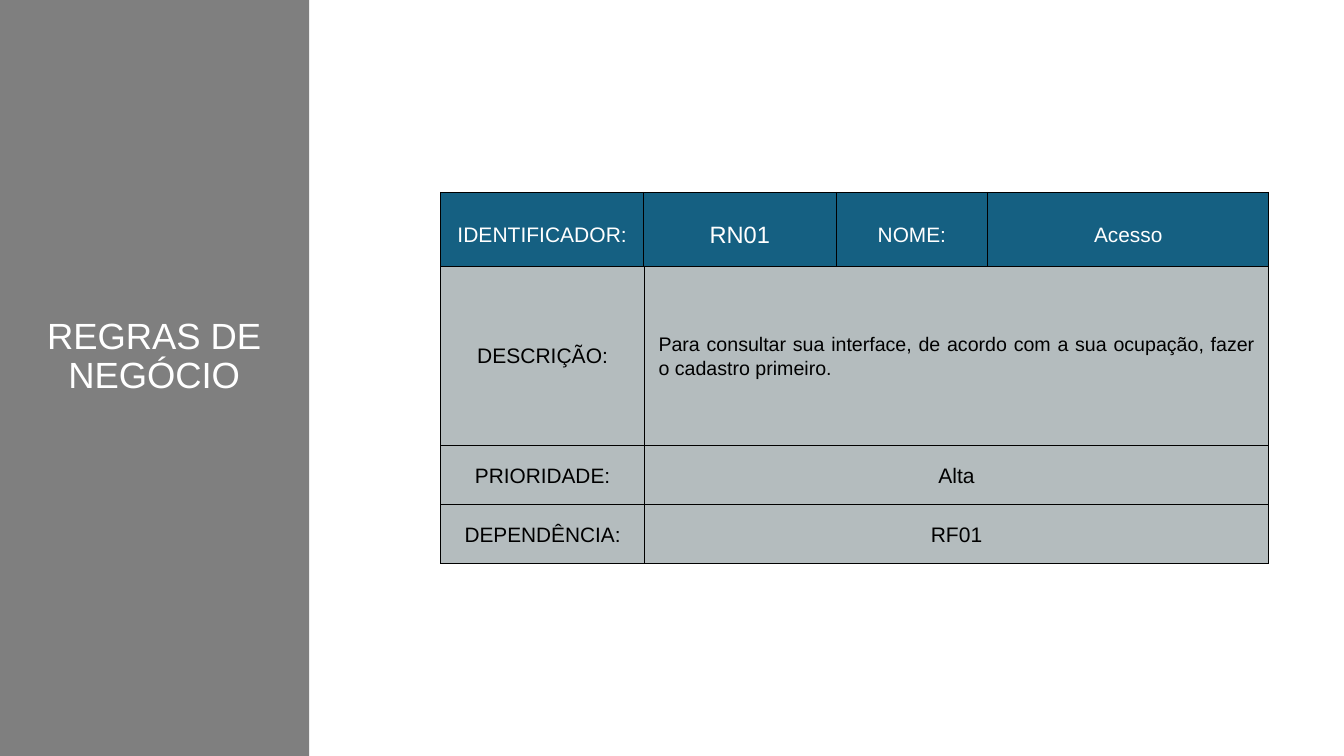
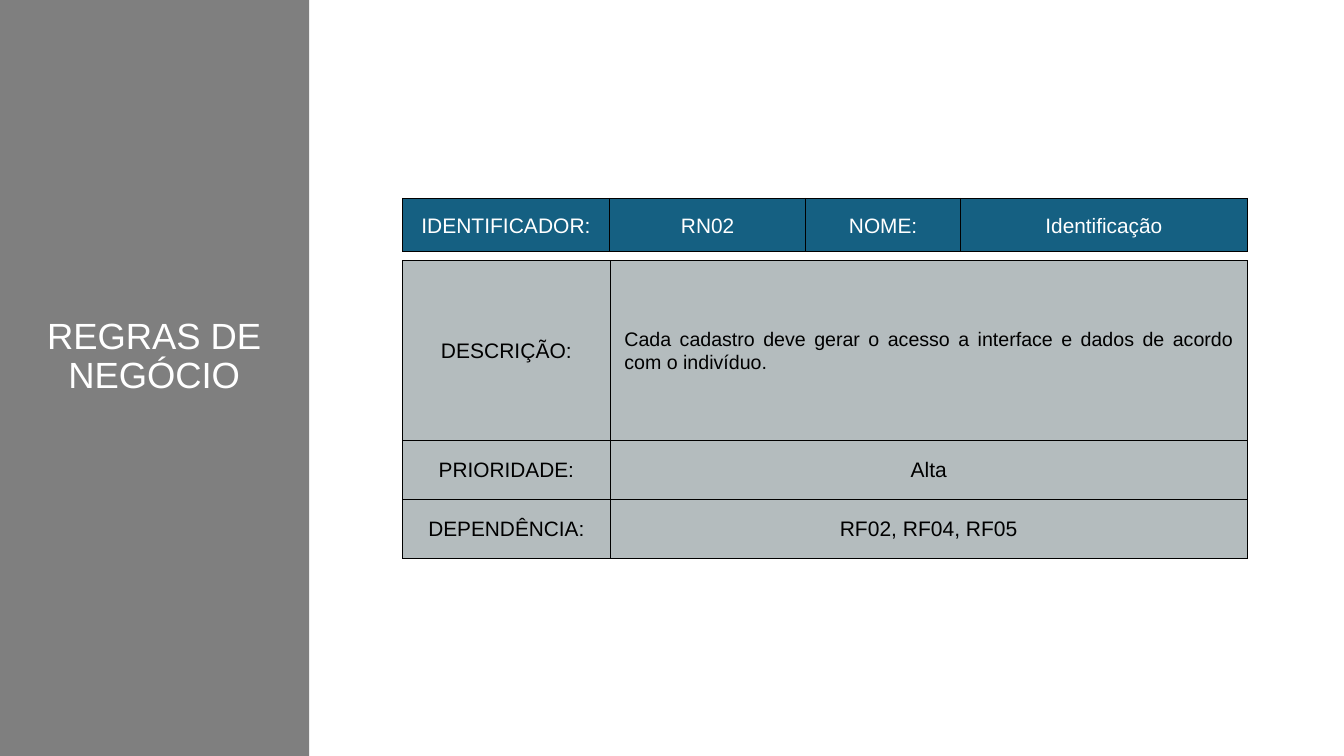
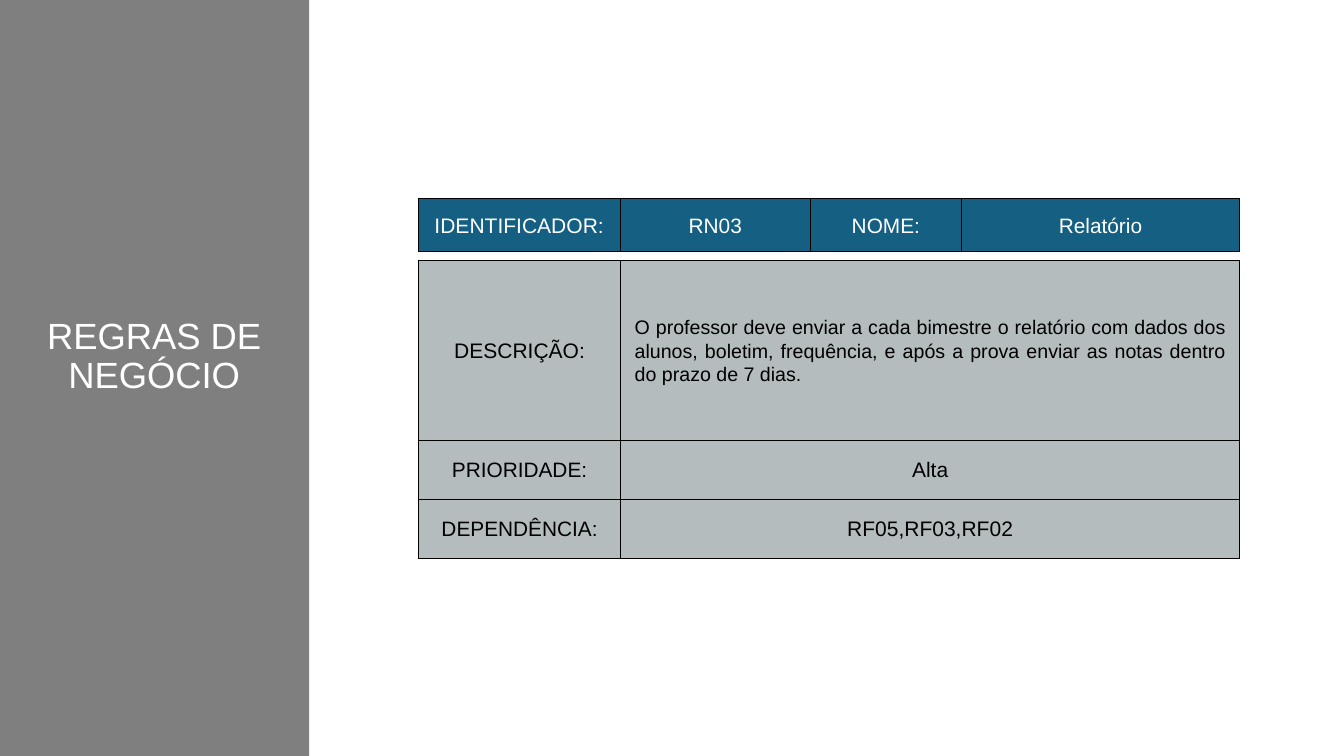
from dataclasses import dataclass

from lxml import etree
from pptx import Presentation
from pptx.dml.color import RGBColor
from pptx.enum.shapes import MSO_SHAPE
from pptx.enum.text import MSO_ANCHOR, MSO_AUTO_SIZE, PP_ALIGN
from pptx.oxml.ns import qn
from pptx.util import Inches, Pt

RECT = MSO_SHAPE.RECTANGLE
TOP, MIDDLE = MSO_ANCHOR.TOP, MSO_ANCHOR.MIDDLE
FIXED = MSO_AUTO_SIZE.NONE
CENTER, JUSTIFY = PP_ALIGN.CENTER, PP_ALIGN.JUSTIFY

COLORS = {
    "band": "7F7F7F",
    "head": "156082",
    "body": "B4BCBE",
    "light": "FFFFFF",
    "dark": "000000",
}
FONT = "Arial"
TITLE = "REGRAS DE NEGÓCIO"
WIDE, HIGH = 20, 11.25
BAND_WIDTH = 4.6
TITLE_SIZE, LABEL, VALUE, PROSE = 39, 22.5, 22.3, 21
INSET = Inches(0.21)
HEAD_COLS = (3.02, 2.86, 2.26, 4.18)
BODY_COLS = (3.03, 9.29)
BODY_ROWS = (2.67, 0.88, 0.88)


@dataclass(frozen=True)
class Cell:
    text: str
    size: float = VALUE
    align: PP_ALIGN = CENTER


@dataclass(frozen=True)
class Rule:
    code: str
    name: str
    detail: str
    needs: str
    left: float
    width: float
    top: float = 2.95
    height: float = 0.79
    split: float = 3.88
    code_size: float = VALUE


RULES = (
    Rule("RN01", "Acesso",
         "Para consultar sua interface, de acordo com a sua ocupação, "
         "fazer o cadastro primeiro.",
         "RF01", 6.56, 12.32, top=2.86, height=1.26, split=3.96, code_size=25.3),
    Rule("RN02", "Identificação",
         "Cada cadastro deve gerar o acesso a interface e dados de acordo "
         "com o indivíduo.",
         "RF02, RF04, RF05", 5.99, 12.57),
    Rule("RN03", "Relatório",
         "O professor deve enviar a cada bimestre o relatório com dados dos "
         "alunos, boletim, frequência, e após a prova enviar as notas dentro "
         "do prazo de 7 dias.",
         "RF05,RF03,RF02", 6.23, 12.22),
)


def color(key: str) -> RGBColor:
    return RGBColor.from_string(COLORS[key])


def style(par, size: float, ink: str, align: PP_ALIGN, lead: float = 1.2) -> None:
    par.alignment = align
    par.line_spacing = Pt(size * lead)
    par.font.name = FONT
    par.font.size = Pt(size)
    par.font.bold = False
    par.font.color.rgb = color(ink)


def frame(cell) -> None:
    props = cell._tc.get_or_add_tcPr()
    for side in ("lnL", "lnR", "lnT", "lnB"):
        line = etree.SubElement(props, qn(f"a:{side}"), w=str(Pt(1)))
        fill = etree.SubElement(line, qn("a:solidFill"))
        etree.SubElement(fill, qn("a:srgbClr"), val=COLORS["dark"])


def add_grid(slide, left: float, top: float, width: float,
             cols: tuple[float, ...], rows: tuple[float, ...],
             cells: list[list[Cell]], fill: str, ink: str) -> None:
    table = slide.shapes.add_table(
        len(rows), len(cols), Inches(left), Inches(top),
        Inches(width), Inches(sum(rows))).table
    table.first_row = False
    table.horz_banding = False
    for col, share in zip(table.columns, cols):
        col.width = Inches(width * share / sum(cols))
    for row, height, items in zip(table.rows, rows, cells):
        row.height = Inches(height)
        for cell, item in zip(row.cells, items):
            frame(cell)
            cell.fill.solid()
            cell.fill.fore_color.rgb = color(fill)
            cell.vertical_anchor = MIDDLE
            cell.margin_left = cell.margin_right = INSET
            cell.margin_top = cell.margin_bottom = INSET
            cell.text = item.text
            style(cell.text_frame.paragraphs[0], item.size, ink, item.align)


def add_title(slide) -> None:
    band = slide.shapes.add_shape(RECT, 0, 0, Inches(BAND_WIDTH), Inches(HIGH))
    band.shadow.inherit = False
    band.fill.solid()
    band.fill.fore_color.rgb = color("band")
    band.line.fill.background()

    title = slide.shapes.title
    title.left, title.top = Inches(0.23), Inches(4.72)
    title.width, title.height = Inches(4.13), Inches(1.21)
    text = title.text_frame
    text.text = TITLE
    text.word_wrap = True
    text.auto_size = FIXED
    text.vertical_anchor = TOP
    text.margin_left = text.margin_right = 0
    text.margin_top = text.margin_bottom = 0
    style(text.paragraphs[0], TITLE_SIZE, "light", CENTER, 1.08)
    band.element.addnext(title.element)


def add_rule(deck, rule: Rule) -> None:
    slide = deck.slides.add_slide(deck.slide_layouts[5])
    head = [[Cell("IDENTIFICADOR:", LABEL), Cell(rule.code, rule.code_size),
             Cell("NOME:"), Cell(rule.name)]]
    body = [
        [Cell("DESCRIÇÃO:", LABEL), Cell(rule.detail, PROSE, JUSTIFY)],
        [Cell("PRIORIDADE:"), Cell("Alta", LABEL)],
        [Cell("DEPENDÊNCIA:"), Cell(rule.needs, LABEL)],
    ]
    add_grid(slide, rule.left, rule.top, rule.width,
             HEAD_COLS, (rule.height,), head, "head", "light")
    add_grid(slide, rule.left, rule.split, rule.width,
             BODY_COLS, BODY_ROWS, body, "body", "dark")
    add_title(slide)


def main() -> None:
    deck = Presentation()
    deck.slide_width, deck.slide_height = Inches(WIDE), Inches(HIGH)
    for rule in RULES:
        add_rule(deck, rule)
    deck.save("out.pptx")


if __name__ == "__main__":
    main()
